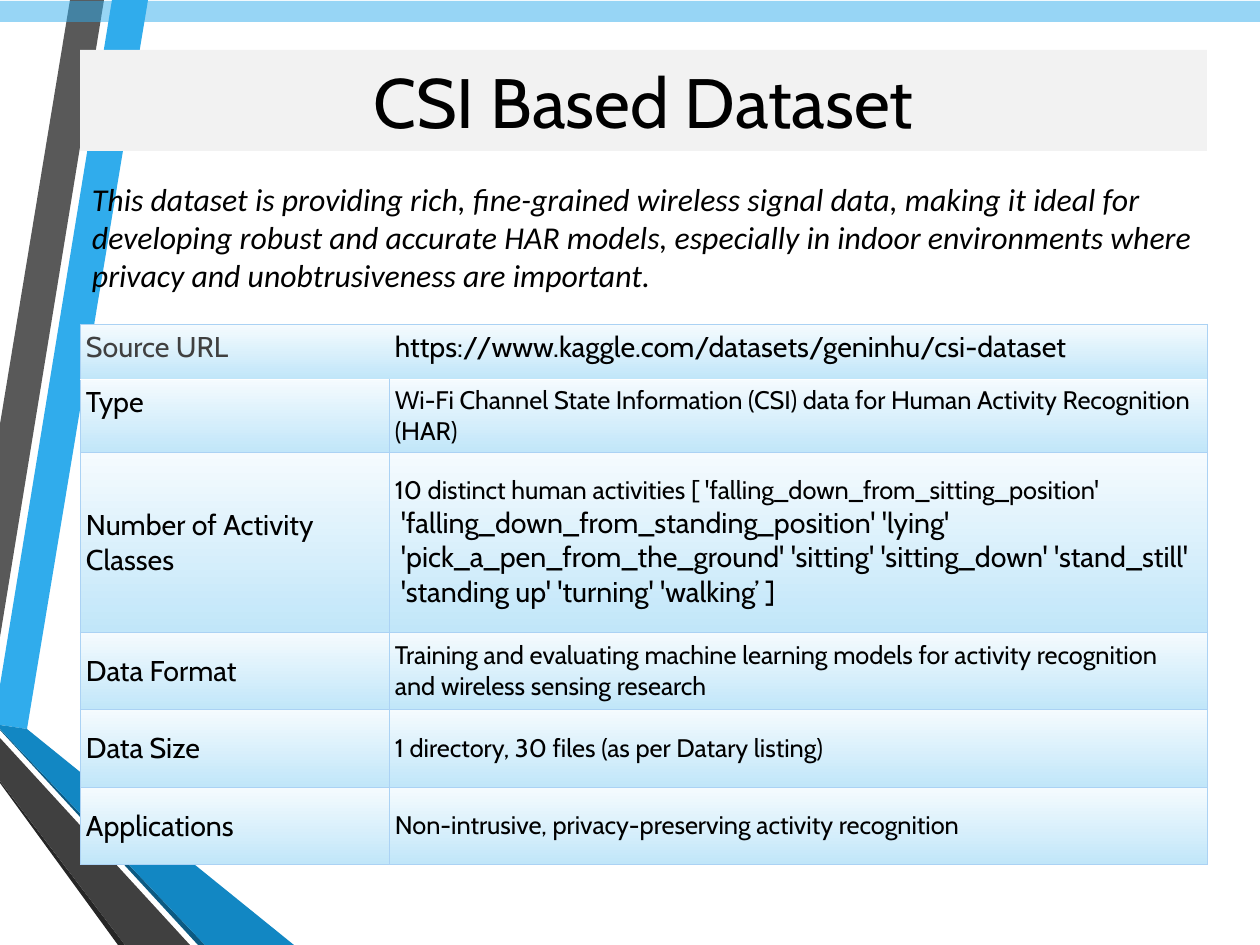
from dataclasses import dataclass

from lxml.etree import SubElement
from pptx import Presentation
from pptx.dml.color import RGBColor
from pptx.enum.shapes import MSO_SHAPE
from pptx.enum.text import MSO_ANCHOR, MSO_AUTO_SIZE, PP_ALIGN
from pptx.oxml import parse_xml
from pptx.oxml.ns import nsdecls, qn
from pptx.util import Pt

PX = 8000  # EMU in one px
WIDTH, HEIGHT = 1260, 945
INSET = 6


@dataclass(frozen=True)
class Theme:
    ink: str = "000000"
    muted: str = "404040"
    title_fill: str = "F2F2F2"
    sky: str = "30ACEC"
    ocean: str = "1287C3"
    deep: str = "0C5A82"
    slate: str = "595959"
    coal: str = "262626"
    cell_top: str = "F5FBFE"
    cell_bottom: str = "C1E6F9"
    border: str = "ABD2F4"
    divider: str = "FFFFFF"
    heading_font: str = "Cabin"
    body_font: str = "Calibri"
    title_size: int = 44
    intro_size: int = 20
    label_size: int = 18
    value_size: int = 16


THEME = Theme()

INTRO = (
    "This dataset is providing rich, fine-grained wireless signal data, making it ideal for "
    "developing robust and accurate HAR models, especially in indoor environments where "
    "privacy and unobtrusiveness are important."
)

# Row height, label, first line of the value, further lines
ROWS = [
    (55, "Source URL", "https://www.kaggle.com/datasets/geninhu/csi-dataset", []),
    (73, "Type", "Wi-Fi Channel State Information (CSI) data for Human Activity Recognition (HAR)", []),
    (180, "Number of Activity Classes",
     "10 distinct human activities [ 'falling_down_from_sitting_position'",
     ["'falling_down_from_standing_position' 'lying'",
      "'pick_a_pen_from_the_ground' 'sitting' 'sitting_down' 'stand_still'",
      "'standing up' 'turning' 'walking’ ]"]),
    (77, "Data Format",
     "Training and evaluating machine learning models for activity recognition "
     "and wireless sensing research", []),
    (78, "Data Size", "1 directory, 30 files (as per Datary listing)", []),
    (77, "Applications", "Non-intrusive, privacy-preserving activity recognition", []),
]
COLUMNS = (309, 818)

RIBBONS = [
    (THEME.sky, [(0, 685), (0, 725), (27, 729), (148, 0), (112, 0)]),
    (THEME.slate, [(104, 0), (70, 0), (0, 424), (0, 637)]),
    (THEME.coal, [(0, 781), (0, 783), (118, HEIGHT), (125, HEIGHT)]),
    (THEME.deep, [(0, 729), (0, 730), (198, HEIGHT), (205, HEIGHT)]),
    (THEME.ocean, [(0, 729), (205, HEIGHT), (294, HEIGHT), (27, 729), (0, 725)]),
    (THEME.muted, [(0, 781), (125, HEIGHT), (190, HEIGHT), (0, 738)]),
]


def emu(box):
    return [value * PX for value in box]


def paint(shape, color):
    shape.fill.solid()
    shape.fill.fore_color.rgb = RGBColor.from_string(color)
    shape.line.fill.background()
    shape.shadow.inherit = False


def set_margins(holder, anchor):
    """Holder is a text frame or a table cell."""
    holder.margin_left = holder.margin_right = INSET * PX
    holder.margin_top = holder.margin_bottom = INSET * PX
    holder.vertical_anchor = anchor


def write(para, text, *, size, font=THEME.heading_font, color=THEME.ink,
          italic=False, align=PP_ALIGN.LEFT, indent=0):
    para.alignment = align
    if indent:
        para._p.get_or_add_pPr().set("marL", str(indent * PX))
    span = para.add_run()
    span.text = text
    span.font.size = Pt(size)
    span.font.name = font
    span.font.italic = italic
    span.font.color.rgb = RGBColor.from_string(color)


def add_backdrop(page, box):
    left, top, width, _ = box
    # Slanted ribbons
    for color, points in RIBBONS:
        outline = page.shapes.build_freeform(*points[0], scale=PX)
        outline.add_line_segments(points[1:], close=True)
        paint(outline.convert_to_shape(left * PX, top * PX), color)
    # Translucent top bar
    bar = page.shapes.add_shape(MSO_SHAPE.RECTANGLE, *emu((left, top + 1, width, 21)))
    paint(bar, THEME.sky)
    color = bar.element.spPr.find(qn("a:solidFill"))[0]
    SubElement(color, qn("a:alpha")).set("val", "50000")


def add_title(page, box):
    title = page.shapes.title
    title.left, title.top, title.width, title.height = emu(box)
    paint(title, THEME.title_fill)
    title.element.getparent().append(title.element)  # in front of the backdrop
    frame = title.text_frame
    frame.auto_size = MSO_AUTO_SIZE.NONE
    frame.word_wrap = True
    set_margins(frame, MSO_ANCHOR.MIDDLE)
    write(frame.paragraphs[0], "CSI Based Dataset", size=THEME.title_size, align=PP_ALIGN.CENTER)


def add_intro(page, box):
    frame = page.shapes.add_textbox(*emu(box)).text_frame
    frame.word_wrap = True
    set_margins(frame, MSO_ANCHOR.TOP)
    write(frame.paragraphs[0], INTRO, size=THEME.intro_size, font=THEME.body_font, italic=True)


def style_cell(cell, row, column):
    # Borders: the first row has no inner line and a pale rule below
    edges = {side: (THEME.border, 0.34) for side in "LRTB"}
    if row == 0:
        edges["R" if column == 0 else "L"] = None
        edges["B"] = (THEME.divider, 0.62)
    elif row == 1:
        edges["T"] = (THEME.divider, 0.62)
    properties = cell._tc.get_or_add_tcPr()
    for side, edge in edges.items():
        if edge:
            color, points = edge
            paint_xml = f'<a:solidFill><a:srgbClr val="{color}"/></a:solidFill>'
        else:
            points, paint_xml = 0, "<a:noFill/>"
        properties.append(parse_xml(
            f'<a:ln{side} {nsdecls("a")} w="{int(Pt(points))}">{paint_xml}</a:ln{side}>'))
    # Vertical gradient
    cell.fill.gradient()
    cell.fill.gradient_angle = 270
    for stop, color in zip(cell.fill.gradient_stops, (THEME.cell_top, THEME.cell_bottom)):
        stop.color.rgb = RGBColor.from_string(color)
    set_margins(cell, MSO_ANCHOR.TOP if row < 2 else MSO_ANCHOR.MIDDLE)


def add_facts(page, box):
    table = page.shapes.add_table(len(ROWS), len(COLUMNS), *emu(box)).table
    table.first_row = table.horz_banding = False
    for column, width in zip(table.columns, COLUMNS):
        column.width = width * PX
    for row, (height, label, value, more) in enumerate(ROWS):
        table.rows[row].height = height * PX
        label_cell, value_cell = table.cell(row, 0), table.cell(row, 1)
        for column, cell in enumerate((label_cell, value_cell)):
            style_cell(cell, row, column)
        write(label_cell.text_frame.paragraphs[0], label, size=THEME.label_size,
              color=THEME.ink if row else THEME.muted)
        write(value_cell.text_frame.paragraphs[0], value,
              size=THEME.value_size if row else THEME.label_size)
        for line in more:
            write(value_cell.text_frame.add_paragraph(), line, size=THEME.label_size, indent=INSET)


def main():
    deck = Presentation()
    deck.slide_width, deck.slide_height = WIDTH * PX, HEIGHT * PX
    page = deck.slides.add_slide(deck.slide_layouts[5])
    add_backdrop(page, (0, 0, WIDTH, HEIGHT))
    add_title(page, (80, 50, sum(COLUMNS), 101))
    add_facts(page, (80, 324, sum(COLUMNS), sum(row[0] for row in ROWS)))
    add_intro(page, (86, 174, 1114, 126))
    deck.save("out.pptx")


if __name__ == "__main__":
    main()
